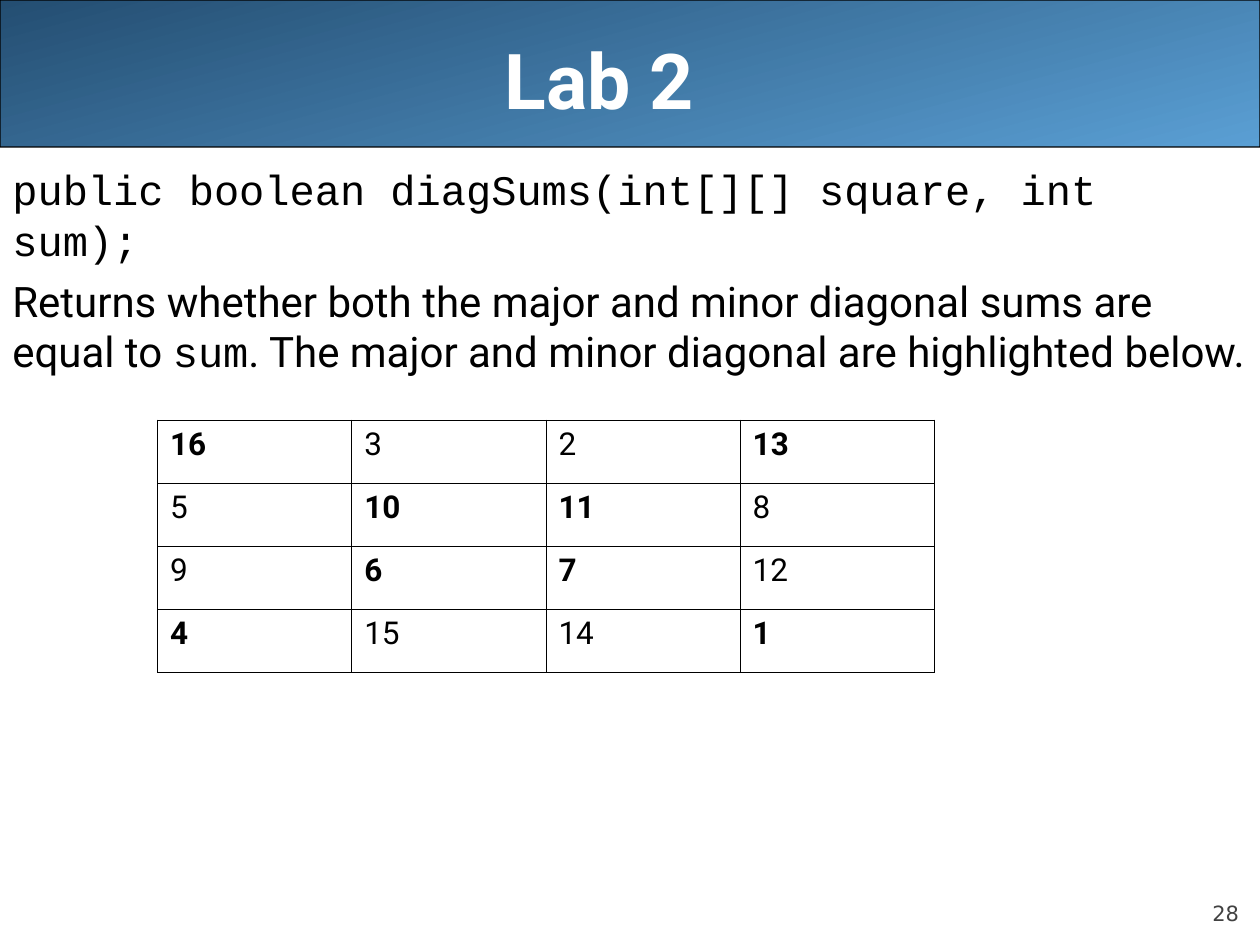
import pptx
import pptx.dml.color
import pptx.enum.shapes
import pptx.enum.text
import pptx.oxml
import pptx.oxml.ns
import pptx.util

Pt = pptx.util.Pt
ALIGN = pptx.enum.text.PP_ALIGN
ANCHOR = pptx.enum.text.MSO_ANCHOR
COLORS = {"light": "5A9FD4", "dark": "244E72", "black": "000000",
          "white": "FFFFFF", "grey": "424242"}
SANS, MONO = "Roboto", "Courier New"


def rgb(name):
    """Return the named colour."""
    return pptx.dml.color.RGBColor.from_string(COLORS[name])


def apply(obj, values):
    """Set each attribute in values on obj."""
    for name, value in values.items():
        setattr(obj, name, value)


class Deck:
    """Hold the style and the current slide."""

    def __init__(self, width, height):
        """Start a presentation with one blank slide."""
        self.prs = pptx.Presentation()
        apply(self.prs, {"slide_width": Pt(width), "slide_height": Pt(height)})
        self.s = self.prs.slides.add_slide(self.prs.slide_layouts[6])

    def run(self, p, text, color="black", **font):
        """Add a formatted run to a paragraph."""
        r = p.add_run()
        r.text = text
        apply(r.font, font)
        r.font.color.rgb = rgb(color)

    def banner(self, *box):
        """Draw the gradient title banner."""
        sp = self.s.shapes.add_shape(
            pptx.enum.shapes.MSO_SHAPE.ROUNDED_RECTANGLE, *map(Pt, box))
        sp.adjustments[0] = 0.001
        sp.shadow.inherit = False
        sp.fill.gradient()
        sp.fill.gradient_angle = 105
        for stop, name, at in zip(sp.fill.gradient_stops, ("light", "dark"), (0, 1)):
            stop.color.rgb = rgb(name)
            stop.position = at
        sp.line.color.rgb = rgb("black")
        sp.line.width = Pt(0.75)

    def text(self, box, paragraphs, frame, para):
        """Add a wrapped text box; each paragraph is a list of run formats."""
        tf = self.s.shapes.add_textbox(*map(Pt, box)).text_frame
        apply(tf, {"word_wrap": True, **frame})
        for i, runs in enumerate(paragraphs):
            p = tf.paragraphs[0] if i == 0 else tf.add_paragraph()
            apply(p, para)
            for values in runs:
                self.run(p, **values)

    def border(self, cell):
        """Give a cell thin lines on all sides."""
        for side in "LRTB":
            cell._tc.get_or_add_tcPr().append(pptx.oxml.parse_xml(
                f'<a:ln{side} {pptx.oxml.ns.nsdecls("a")} w="{Pt(0.45)}"><a:solidFill>'
                f'<a:srgbClr val="{COLORS["black"]}"/></a:solidFill></a:ln{side}>'))

    def square(self, box, rows):
        """Add a square matrix table with both diagonals in bold."""
        n = len(rows)
        table = self.s.shapes.add_table(n, n, *map(Pt, box)).table
        apply(table, {"first_row": False, "horz_banding": False})
        for i, row in enumerate(rows):
            for j, value in enumerate(row):
                cell = table.cell(i, j)
                self.border(cell)
                cell.fill.background()
                self.run(cell.text_frame.paragraphs[0], str(value), name=SANS,
                         size=Pt(18), bold=j in (i, n - 1 - i))


def main():
    """Build and save the slide."""
    deck = Deck(720, 540)
    deck.banner(0, 0, 720, 84)
    deck.text((648, 500.4, 60, 28.8),
              [[dict(text="28", name="DejaVu Sans", size=Pt(12), color="grey")]],
              {"vertical_anchor": ANCHOR.BOTTOM, "margin_left": 0, "margin_right": 0,
               "margin_top": 0, "margin_bottom": 0},
              {"alignment": ALIGN.RIGHT, "space_before": Pt(5)})
    deck.text((36, 0, 648, 90),
              [[dict(text="Lab 2", name=SANS, size=Pt(44), bold=True, color="white")]],
              {"vertical_anchor": ANCHOR.MIDDLE, "margin_right": Pt(42)},
              {"alignment": ALIGN.CENTER})
    mono, sans = ({"name": name, "size": Pt(24)} for name in (MONO, SANS))
    deck.text((0, 90, 720, 450), [
        [dict(text="public boolean diagSums(int[][] square, int sum);", **mono)],
        [dict(text="Returns whether both the major and minor diagonal sums are equal to ",
              **sans),
         dict(text="sum", **mono),
         dict(text=". The major and minor diagonal are highlighted below.", **sans)],
    ], {"vertical_anchor": ANCHOR.TOP, "margin_right": Pt(8)}, {"space_before": Pt(6)})
    deck.square((90, 240, 444, 144), [
        [16, 3, 2, 13], [5, 10, 11, 8], [9, 6, 7, 12], [4, 15, 14, 1]])
    deck.prs.save("out.pptx")


if __name__ == "__main__":
    main()
